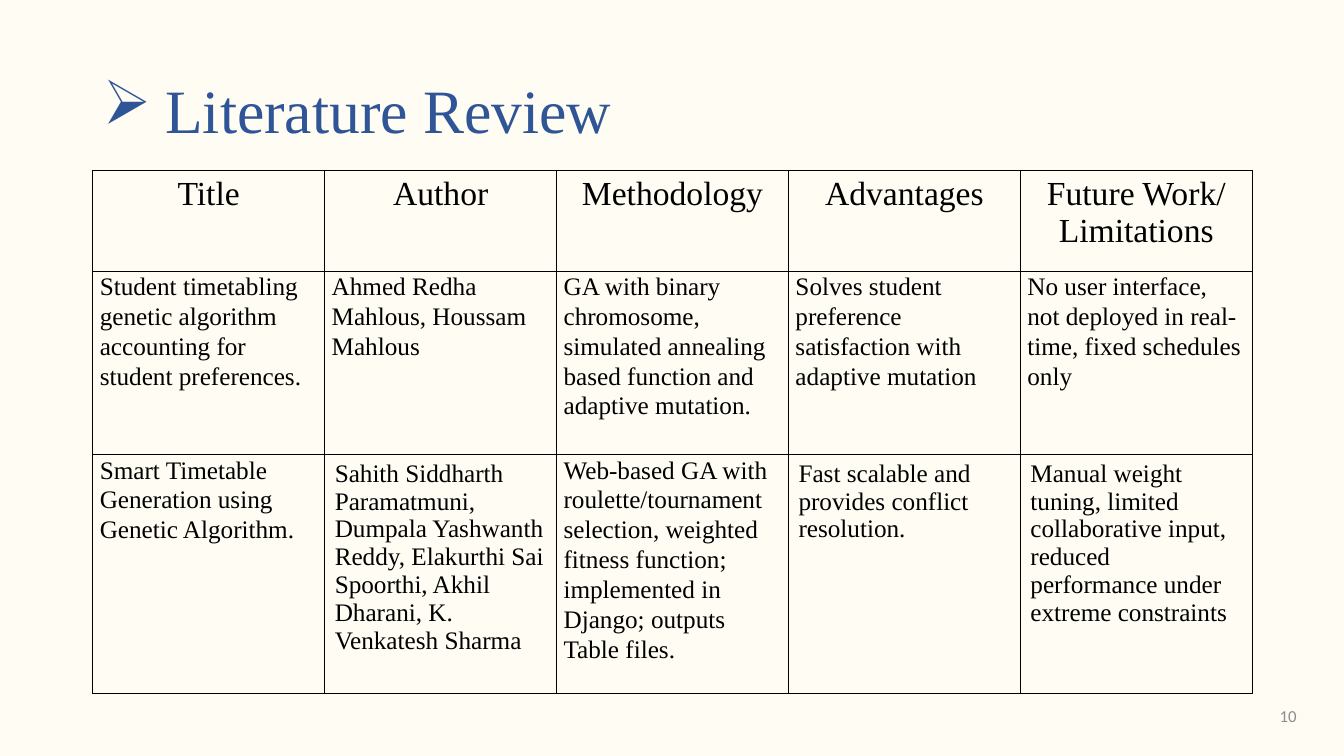
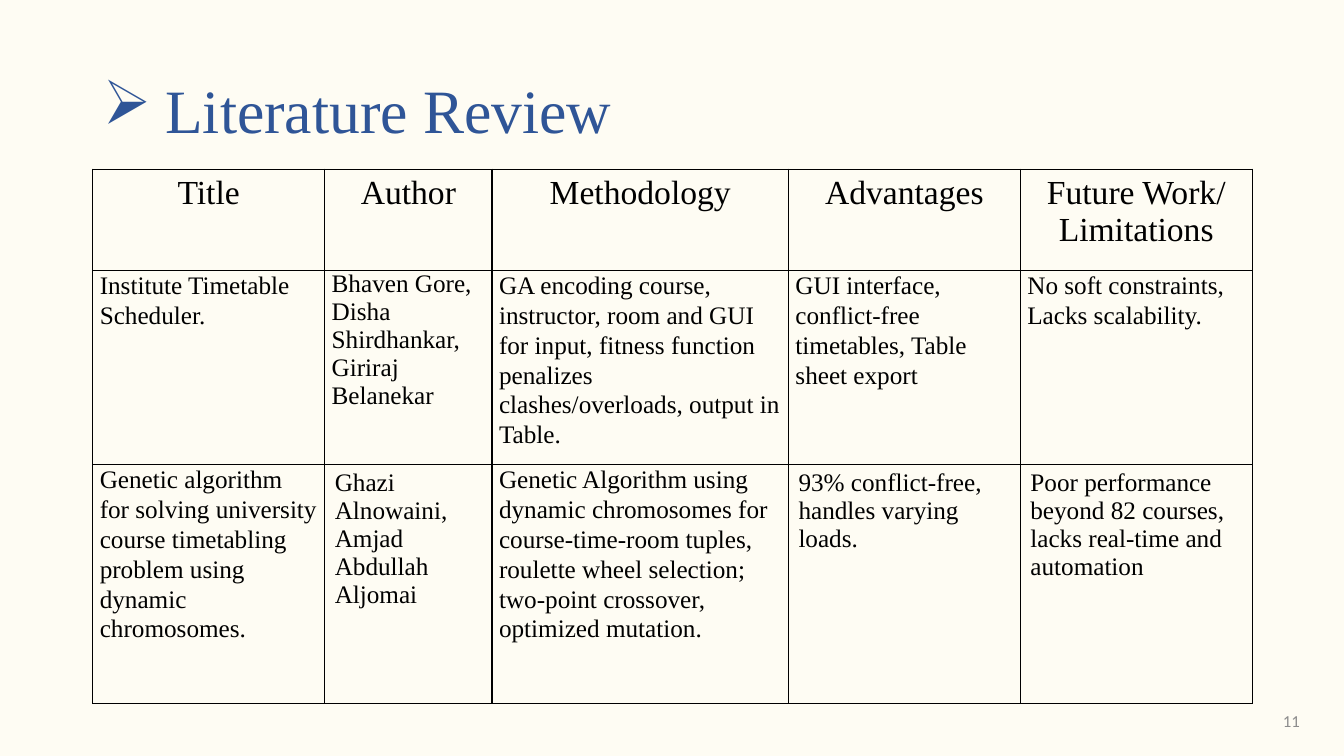
from lxml import etree
from pptx import Presentation
from pptx import util as u
from pptx.dml.color import RGBColor
from pptx.enum import text
from pptx.oxml import ns

COLORS = {"page": "FEFCF3", "title": "2F5597", "ink": "000000", "number": "8C8C8C"}
SERIF = "Times New Roman"
SANS = "Calibri"
LEFT, WIDTH = 0.92, 11.5
ROW_HEIGHTS = [1, 1.82, 2.37]
HEADINGS = ["Title", "Author", "Methodology", "Advantages", "Future Work/ Limitations"]
ROOMY_COLUMNS = {1, 3, 4}  # last row: default margins and single spacing

REVIEWS = [
    {
        "number": 10, "number_at": (9.96, 6.9), "top": 1.69,
        "columns": [2.3] * 5,
        "tight_cells": set(),
        "papers": [
            ["Student timetabling genetic algorithm accounting for student preferences.",
             "Ahmed Redha Mahlous, Houssam Mahlous",
             "GA with binary chromosome, simulated annealing based function and "
             "adaptive mutation.",
             "Solves student preference satisfaction with adaptive mutation",
             "No user interface, not deployed in real-time, fixed schedules only"],
            ["Smart Timetable Generation using Genetic Algorithm.",
             "Sahith Siddharth Paramatmuni, Dumpala Yashwanth Reddy, Elakurthi Sai "
             "Spoorthi, Akhil Dharani, K. Venkatesh Sharma",
             "Web-based GA with roulette/tournament selection, weighted fitness "
             "function; implemented in Django; outputs Table files.",
             "Fast scalable and provides conflict resolution.",
             "Manual weight tuning, limited collaborative input, reduced performance "
             "under extreme constraints"],
        ],
    },
    {
        "number": 11, "number_at": (9.99, 6.95), "top": 1.68,
        "columns": [2.3, 1.66, 2.94, 2.3, 2.3],
        "tight_cells": {(1, 1)},
        "papers": [
            ["Institute Timetable Scheduler.",
             "Bhaven Gore,\nDisha Shirdhankar, Giriraj Belanekar",
             "GA encoding course, instructor, room and GUI for input, fitness function "
             "penalizes clashes/overloads, output in Table.",
             "GUI interface, conflict-free timetables, Table sheet export",
             "No soft constraints, Lacks scalability."],
            ["Genetic algorithm for solving university course timetabling problem using "
             "dynamic chromosomes.",
             "Ghazi Alnowaini, Amjad Abdullah Aljomai",
             "Genetic Algorithm using dynamic chromosomes for course-time-room tuples, "
             "roulette wheel selection; two-point crossover, optimized mutation.",
             "93% conflict-free, handles varying loads.",
             "Poor performance beyond 82 courses, lacks real-time and automation"],
        ],
    },
]


def set_font(para, size, color, name=SERIF):
    para.font.size = u.Pt(size)
    para.font.name = name
    para.font.color.rgb = RGBColor.from_string(COLORS[color])


def add_bullet(para, char, indent):
    """Give a paragraph a hanging bullet; call before its font is set."""
    props = para._p.get_or_add_pPr()
    props.set("marL", str(u.Inches(indent)))
    props.set("indent", str(-u.Inches(indent)))
    etree.SubElement(props, ns.qn("a:buChar")).set("char", char)


def add_title(page, words):
    title = page.shapes.title
    title.left, title.top = u.Inches(LEFT), u.Inches(0.4)
    title.width, title.height = u.Inches(WIDTH), u.Inches(1.45)
    frame = title.text_frame
    frame.text = words
    frame.vertical_anchor = text.MSO_ANCHOR.MIDDLE
    para = frame.paragraphs[0]
    add_bullet(para, "➢", 0.62)
    para.alignment = text.PP_ALIGN.LEFT
    para.line_spacing = 0.9
    set_font(para, 44, "title")


def add_page_number(page, number, left, top):
    box = page.shapes.add_textbox(u.Inches(left), u.Inches(top), u.Inches(3), u.Inches(0.4))
    frame = box.text_frame
    frame.word_wrap = True
    frame.vertical_anchor = text.MSO_ANCHOR.MIDDLE
    frame.text = str(number)
    para = frame.paragraphs[0]
    para.alignment = text.PP_ALIGN.RIGHT
    set_font(para, 12, "number", SANS)


def add_borders(cell):
    """Draw all four sides; call before the cell's fill is set."""
    props = cell._tc.get_or_add_tcPr()
    for side in ("lnL", "lnR", "lnT", "lnB"):
        line = etree.SubElement(props, ns.qn(f"a:{side}"), w=str(u.Pt(1)))
        fill = etree.SubElement(line, ns.qn("a:solidFill"))
        etree.SubElement(fill, ns.qn("a:srgbClr"), val=COLORS["ink"])


def fill_cell(cell, words, header, compact, loose):
    """Compact cells have slim margins; loose ones have wider line spacing."""
    add_borders(cell)
    cell.fill.background()
    cell.text = words
    if compact:
        cell.margin_left = cell.margin_right = u.Inches(0.07)
        cell.margin_top = cell.margin_bottom = 0
    for para in cell.text_frame.paragraphs:
        para.alignment = text.PP_ALIGN.CENTER if header else text.PP_ALIGN.LEFT
        if loose:
            para.line_spacing = 1.07
            para.space_after = u.Pt(8)
        set_font(para, 24 if header else 18, "ink")


def add_review_table(page, review):
    rows = [HEADINGS] + review["papers"]
    table = page.shapes.add_table(
        len(rows), len(HEADINGS), u.Inches(LEFT), u.Inches(review["top"]),
        u.Inches(WIDTH), u.Inches(sum(ROW_HEIGHTS))).table
    table.first_row = table.horz_banding = False
    for column, width in zip(table.columns, review["columns"]):
        column.width = u.Inches(width)
    for row, height in zip(table.rows, ROW_HEIGHTS):
        row.height = u.Inches(height)
    last = len(rows) - 1
    for r, row in enumerate(rows):
        for c, words in enumerate(row):
            header = r == 0
            compact = not header and not (r == last and c in ROOMY_COLUMNS)
            loose = compact and (r, c) not in review["tight_cells"]
            fill_cell(table.cell(r, c), words, header, compact, loose)


def main():
    deck = Presentation()
    deck.slide_width, deck.slide_height = u.Inches(13.33), u.Inches(7.5)
    background = deck.slide_master.background.fill
    background.solid()
    background.fore_color.rgb = RGBColor.from_string(COLORS["page"])
    title_only = deck.slide_layouts[5]
    for review in REVIEWS:
        page = deck.slides.add_slide(title_only)
        add_page_number(page, review["number"], *review["number_at"])
        add_title(page, "Literature Review")
        add_review_table(page, review)
    deck.save("out.pptx")


if __name__ == "__main__":
    main()
